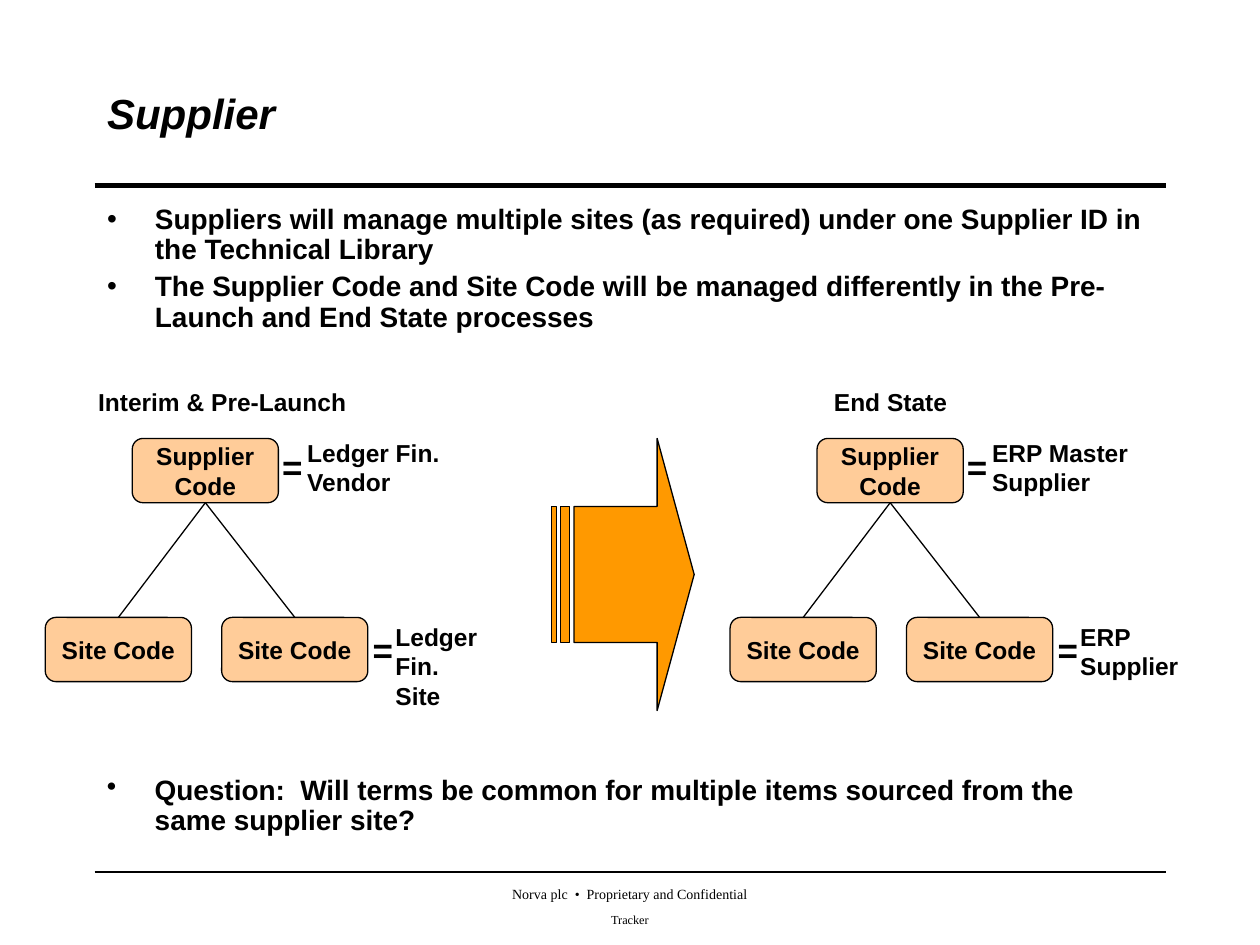
from lxml import etree
from pptx import Presentation
from pptx.dml.color import RGBColor
from pptx.enum.shapes import MSO_CONNECTOR, MSO_SHAPE
from pptx.enum.text import MSO_ANCHOR, MSO_AUTO_SIZE, PP_ALIGN
from pptx.oxml.ns import qn
from pptx.util import Inches, Pt

LEFT, CENTER = PP_ALIGN.LEFT, PP_ALIGN.CENTER
TOP, MIDDLE = MSO_ANCHOR.TOP, MSO_ANCHOR.MIDDLE
STRAIGHT = MSO_CONNECTOR.STRAIGHT
ROUNDED, STRIPED_ARROW = MSO_SHAPE.ROUNDED_RECTANGLE, MSO_SHAPE.STRIPED_RIGHT_ARROW
TOP_SIDE, BOTTOM_SIDE = 0, 2

COLORS = {"ink": "000000", "box": "FFCC99", "arrow": "FF9900"}
COLUMNS, ROWS = 100, 75  # slide grid; one cell is a tenth of an inch
MARGIN, CONTENT = 7.5, 85
BOX_WIDTH, BOX_HEIGHT = 11.6, 5.1
TREE_STEP = 54.35


class SlideBuilder:
    """Holds the style and the current slide; all lengths are grid cells."""

    def __init__(self, prs):
        self.cell_w = prs.slide_width / COLUMNS
        self.cell_h = prs.slide_height / ROWS
        self.slide = prs.slides.add_slide(prs.slide_layouts[1])
        self.shapes = self.slide.shapes

    def place(self, col, row, width, height):
        return (round(col * self.cell_w), round(row * self.cell_h),
                round(width * self.cell_w), round(height * self.cell_h))

    def color(self, name):
        return RGBColor.from_string(COLORS[name])

    def fill_text(self, shape, lines, size=14, align=LEFT, anchor=TOP, spacing=1.0,
                  gap=0, bullets=False, inset=(0.1, 0.05), font="Arial", bold=True,
                  italic=False):
        frame = shape.text_frame
        side, edge = (Inches(value) for value in inset)
        frame_format = {
            "word_wrap": True, "auto_size": MSO_AUTO_SIZE.NONE,
            "vertical_anchor": anchor, "margin_left": side, "margin_right": side,
            "margin_top": edge, "margin_bottom": edge,
        }
        for name, value in frame_format.items():
            setattr(frame, name, value)
        font_format = {"name": font, "size": Pt(size), "bold": bold, "italic": italic}
        for index, line in enumerate(lines):
            paragraph = frame.paragraphs[0] if index == 0 else frame.add_paragraph()
            if bullets:
                self.add_bullet(paragraph)
            paragraph_format = {
                "alignment": align, "line_spacing": spacing,
                "space_before": Pt(gap if index else 0), "space_after": Pt(0),
            }
            for name, value in paragraph_format.items():
                setattr(paragraph, name, value)
            run = paragraph.add_run()
            run.text = line
            for name, value in font_format.items():
                setattr(run.font, name, value)
            run.font.color.rgb = self.color("ink")

    def add_bullet(self, paragraph):
        properties = paragraph._p.get_or_add_pPr()
        indent = Inches(0.38)
        properties.set("marL", str(indent))
        properties.set("indent", str(-indent))
        etree.SubElement(properties, qn("a:buChar")).set("char", "•")

    def placeholder(self, index, area, lines, **style):
        shape = self.slide.placeholders[index]
        shape.left, shape.top, shape.width, shape.height = self.place(*area)
        self.fill_text(shape, lines, **style)

    def text(self, area, lines, **style):
        self.fill_text(self.shapes.add_textbox(*self.place(*area)), lines, **style)

    def shape(self, kind, area, fill):
        shape = self.shapes.add_shape(kind, *self.place(*area))
        shape.shadow.inherit = False
        shape.fill.solid()
        shape.fill.fore_color.rgb = self.color(fill)
        shape.line.color.rgb = self.color("ink")
        shape.line.width = Pt(0.75)
        return shape

    def code_box(self, col, row, label):
        box = self.shape(ROUNDED, (col, row, BOX_WIDTH, BOX_HEIGHT), "box")
        self.fill_text(box, [label], align=CENTER, anchor=MIDDLE)
        return box

    def line(self, weight=0.75):
        line = self.shapes.add_connector(STRAIGHT, 0, 0, 0, 0)
        line.line.color.rgb = self.color("ink")
        line.line.width = Pt(weight)
        etree.SubElement(line._element.spPr, qn("a:effectLst"))
        return line

    def rule(self, row, weight):
        rule = self.line(weight)
        rule.begin_x, rule.begin_y, rule.end_x, rule.end_y = (
            *self.place(MARGIN, row, 0, 0)[:2],
            *self.place(MARGIN + CONTENT, row, 0, 0)[:2])

    def branch(self, parent, child):
        branch = self.line()
        branch.begin_connect(parent, BOTTOM_SIDE)
        branch.end_connect(child, TOP_SIDE)

    def code_tree(self, shift, supplier_note, site_note):
        supplier = self.code_box(shift + 10.5, 34.8, "Supplier Code")
        for col in (3.6, 17.6):
            self.branch(supplier, self.code_box(shift + col, 49, "Site Code"))
        for col, row in ((21.4, 34.9), (28.6, 49.4)):
            self.text((shift + col, row, 3.3, 4.4), ["="], size=20)
        self.text((shift + 23.4, 34.25, 16, 5.7), supplier_note)
        self.text((shift + 30.4, 48.85, 12, 8), site_note)


def main():
    prs = Presentation()
    prs.slide_width, prs.slide_height = Inches(10), Inches(7.5)
    page = SlideBuilder(prs)

    # Rules and footer
    page.rule(14.7, 3)
    page.rule(69.2, 0.75)
    footer = {"font": "Times New Roman", "bold": False, "align": CENTER}
    page.text((35, 70, 30, 1.9), ["Norva plc  •  Proprietary and Confidential"],
              size=8, inset=(0.07, 0.03), **footer)
    page.text((45, 72.5, 10, 1.1), ["Tracker"], size=7, spacing=0.9,
              inset=(0, 0), **footer)

    # Title and bullets
    page.placeholder(0, (MARGIN, 4.8, CONTENT, 8.3), ["Supplier"],
                     size=24, anchor=MIDDLE, italic=True)
    points = {"size": 16, "spacing": 0.9, "gap": 4, "bullets": True}
    page.placeholder(1, (MARGIN, 15.8, CONTENT, 12.2), [
        "Suppliers will manage multiple sites (as required) under one Supplier ID "
        "in the Technical Library",
        "The Supplier Code and Site Code will be managed differently in the "
        "Pre-Launch and End State processes",
    ], **points)

    # Code structure before and after
    page.code_tree(0, ["Ledger Fin.", "Vendor"], ["Ledger Fin.", "Site"])
    page.code_tree(TREE_STEP, ["ERP Master", "Supplier"], ["ERP Supplier"])
    page.text((6.8, 30.2, 22.9, 3.4), ["Interim & Pre-Launch"])
    page.text((65.2, 30.2, 11.9, 3.4), ["End State"])

    # Transition arrow
    transition = page.shape(STRIPED_ARROW, (43.8, 34.8, 11.3, 21.6), "arrow")
    transition.adjustments[1] = 0.26

    # Open question
    page.text((MARGIN, 61.1, CONTENT, 5.9), [
        "Question:  Will terms be common for multiple items sourced from the "
        "same supplier site?",
    ], **points)

    prs.save("out.pptx")


if __name__ == "__main__":
    main()
